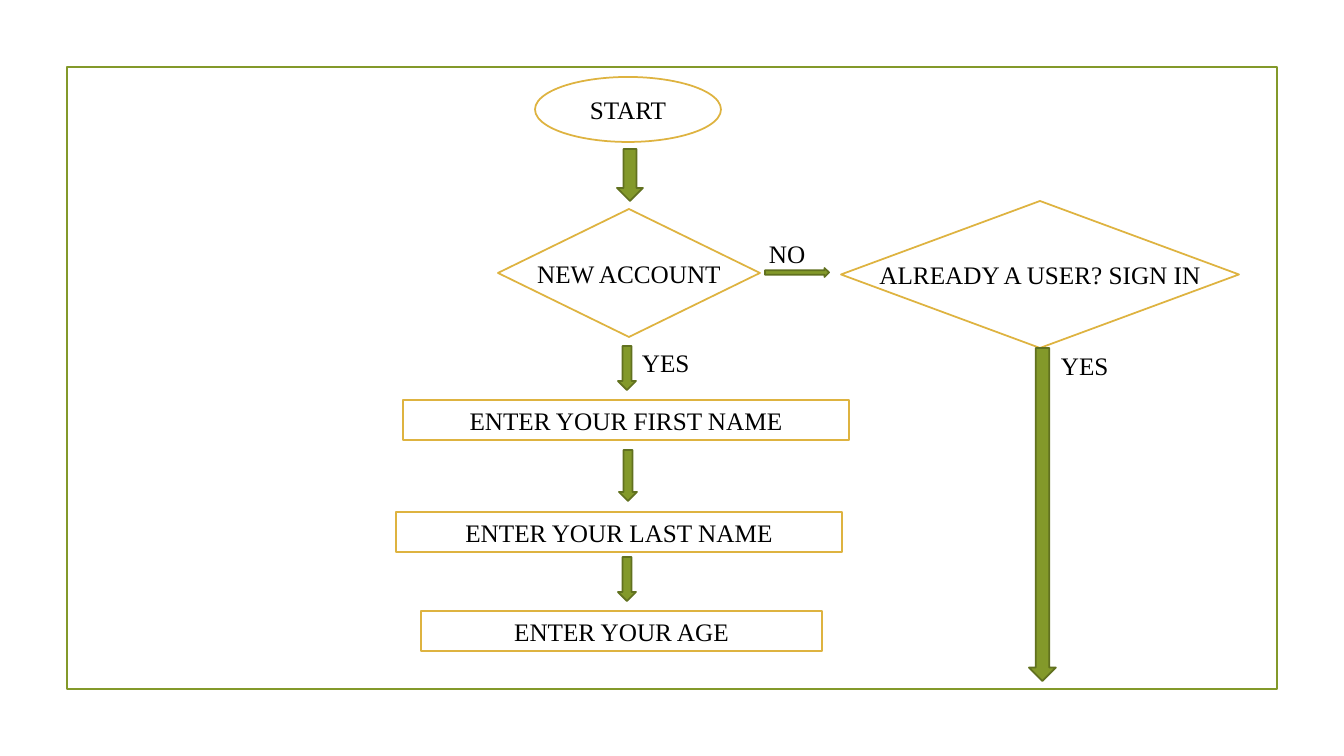
from pptx import Presentation
from pptx.dml.color import RGBColor
from pptx.enum.shapes import MSO_SHAPE
from pptx.enum.text import MSO_ANCHOR, PP_ALIGN
from pptx.util import Emu, Pt

RECTANGLE, OVAL, DIAMOND = MSO_SHAPE.RECTANGLE, MSO_SHAPE.OVAL, MSO_SHAPE.DIAMOND
DOWN, RIGHT = MSO_SHAPE.DOWN_ARROW, MSO_SHAPE.RIGHT_ARROW
MIDDLE, CENTER = MSO_ANCHOR.MIDDLE, PP_ALIGN.CENTER

EMU_PER_PX = 914400 / 100.8
FONT = "Times New Roman"
COLORS = {
    "white": "FFFFFF",
    "gold": "DEB340",
    "green": "83992A",
    "dark_green": "61711F",
    "text": "000000",
}


def px(length):
    return Emu(round(length * EMU_PER_PX))


def color(name):
    return RGBColor.from_string(COLORS[name])


def place(box, part):
    left, top, width, height = part
    return px(box[0] + left), px(box[1] + top), px(width), px(height)


def write(frame, wording):
    frame.word_wrap = False
    run = frame.paragraphs[0].add_run()
    run.text = wording
    run.font.name = FONT
    run.font.size = Pt(18)
    run.font.color.rgb = color("text")


def add_outline(slide, kind, box, part, fill, line):
    shape = slide.shapes.add_shape(kind, *place(box, part))
    shape.shadow.inherit = False
    shape.fill.solid()
    shape.fill.fore_color.rgb = color(fill)
    shape.line.color.rgb = color(line)
    shape.line.width = Pt(1.25)
    return shape


def add_step(slide, kind, box, part, wording):
    step = add_outline(slide, kind, box, part, "white", "gold")
    frame = step.text_frame
    frame.margin_left = frame.margin_right = 0
    frame.margin_top = frame.margin_bottom = 0
    frame.vertical_anchor = MIDDLE
    frame.paragraphs[0].alignment = CENTER
    write(frame, wording)


def add_arrow(slide, kind, box, part):
    add_outline(slide, kind, box, part, "green", "dark_green")


def add_answer(slide, box, part, wording):
    answer = slide.shapes.add_textbox(*place(box, part))
    write(answer.text_frame, wording)


def draw_border(slide, box):
    border = add_outline(slide, RECTANGLE, box, (0, 0, *box[2:]), "white", "green")
    border.fill.background()


def draw_sign_up(slide, box):
    add_step(slide, OVAL, box, (139, 0, 186, 65), "START")
    add_step(slide, DIAMOND, box, (102, 132, 262, 128), "NEW ACCOUNT")
    for left, top, width, wording in (
        (7, 323, 446, "ENTER YOUR FIRST NAME"),
        (0, 435, 446, "ENTER YOUR LAST NAME"),
        (25, 534, 401, "ENTER YOUR AGE"),
    ):
        add_step(slide, RECTANGLE, box, (left, top, width, 40), wording)
    for arrow in (
        (221, 72, 26, 52),
        (222, 269, 18, 44),
        (223, 373, 18, 51),
        (222, 480, 18, 44),
    ):
        add_arrow(slide, DOWN, box, arrow)
    add_answer(slide, box, (236, 265, 109, 40), "YES")


def draw_sign_in(slide, box):
    add_arrow(slide, RIGHT, box, (6, 67, 64, 9))
    add_answer(slide, box, (0, 32, 64, 40), "NO")
    add_step(slide, DIAMOND, box, (82, 0, 398, 147), "ALREADY A USER? SIGN IN")
    add_arrow(slide, DOWN, box, (270, 147, 27, 333))
    add_answer(slide, box, (292, 144, 104, 40), "YES")


def main():
    deck = Presentation()
    deck.slide_width, deck.slide_height = px(1344), px(756)
    slide = deck.slides.add_slide(deck.slide_layouts[6])
    draw_border(slide, (67, 67, 1210, 622))
    draw_sign_up(slide, (396, 77, 453, 574))
    draw_sign_in(slide, (759, 201, 480, 480))
    deck.save("out.pptx")


if __name__ == "__main__":
    main()
